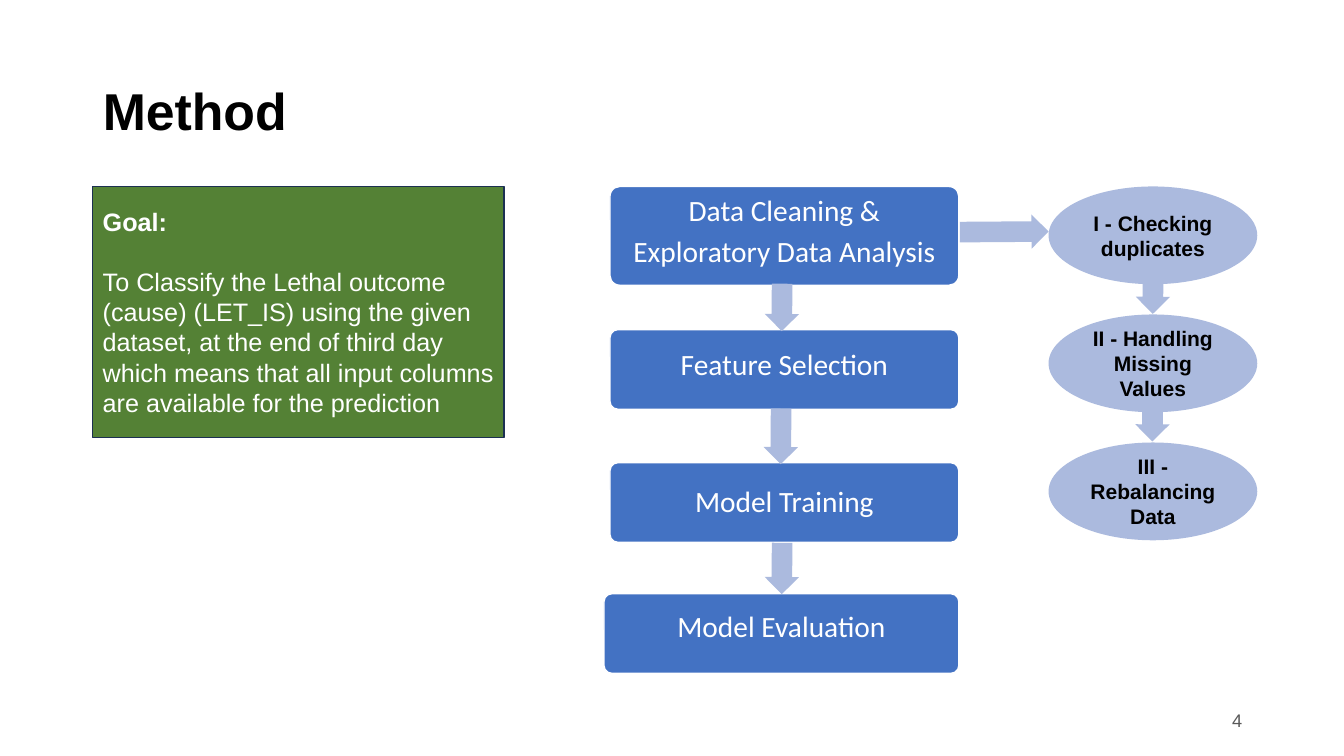
import pptx
import pptx.util
import pptx.dml.color
import pptx.enum.shapes
import pptx.enum.text

Inches = pptx.util.Inches
Pt = pptx.util.Pt
RGBColor = pptx.dml.color.RGBColor
SHAPE = pptx.enum.shapes.MSO_SHAPE
ALIGN = pptx.enum.text.PP_ALIGN

BLUE = RGBColor(0x43, 0x72, 0xC3)
LAVENDER = RGBColor(0xAB, 0xBA, 0xDE)
GREEN = RGBColor(0x54, 0x81, 0x35)
NAVY = RGBColor(0x1C, 0x30, 0x52)
GREY = RGBColor(0x59, 0x59, 0x59)
WHITE = RGBColor(0xFF, 0xFF, 0xFF)
BLACK = RGBColor(0x00, 0x00, 0x00)


def write(frame, text, size, color, font="Arial", bold=False, align=ALIGN.LEFT,
          spacing=None, gap=0, insets=(0.1, 0.05, 0.1, 0.05)):
    frame.word_wrap = True
    frame.auto_size = pptx.enum.text.MSO_AUTO_SIZE.NONE
    frame.vertical_anchor = pptx.enum.text.MSO_ANCHOR.MIDDLE
    frame.margin_left, frame.margin_top, frame.margin_right, frame.margin_bottom = map(Inches, insets)
    frame.text = text
    for index, paragraph in enumerate(frame.paragraphs):
        paragraph.alignment = align
        paragraph.line_spacing = spacing
        paragraph.space_before = Pt(gap if index else 0)
        for run in paragraph.runs:
            run.font.name = font
            run.font.size = Pt(size)
            run.font.bold = bold
            run.font.color.rgb = color


def draw(kind, left, top, width, height, fill, outline=None):
    shape = slide.shapes.add_shape(kind, Inches(left), Inches(top), Inches(width), Inches(height))
    shape.shadow.inherit = False
    shape.fill.solid()
    shape.fill.fore_color.rgb = fill
    if outline is None:
        shape.line.fill.background()
    else:
        shape.line.color.rgb = outline
        shape.line.width = Pt(1)
    return shape


deck = pptx.Presentation()
deck.slide_width = Inches(13.33)
deck.slide_height = Inches(7.5)
slide = deck.slides.add_slide(deck.slide_layouts[5])

title = slide.shapes.title
title.left, title.top, title.width, title.height = map(Inches, (0.92, 0.4, 11.5, 1.45))
write(title.text_frame, "Method", 37, BLACK, bold=True, spacing=0.9)

goal = draw(SHAPE.RECTANGLE, 0.92, 1.85, 4.08, 2.49, GREEN, NAVY)
write(goal.text_frame,
      "Goal:\nTo Classify the Lethal outcome (cause) (LET_IS) using the given dataset, "
      "at the end of third day which means that all input columns are available for the prediction",
      18, WHITE, gap=21)
goal.text_frame.paragraphs[0].runs[0].font.bold = True

stages = [
    ("Data Cleaning &\nExploratory Data Analysis", 6.05, 1.85, 3.46, 0.98, 0.14),
    ("Feature Selection", 6.05, 3.27, 3.46, 0.79, 0.13),
    ("Model Training", 6.05, 4.59, 3.46, 0.79, 0.07),
    ("Model Evaluation", 5.99, 5.89, 3.52, 0.79, 0.18),
]
for label, left, top, width, height, bottom_inset in stages:
    stage = draw(SHAPE.ROUNDED_RECTANGLE, left, top, width, height, BLUE, WHITE)
    stage.adjustments[0] = 0.1
    write(stage.text_frame, label, 21, WHITE, font="Calibri", align=ALIGN.CENTER,
          spacing=0.9, gap=6.3, insets=(0.07, 0.07, 0.07, bottom_inset))

cleaning_steps = ["I - Checking duplicates", "II - Handling Missing Values", "III - Rebalancing Data"]
for index, label in enumerate(cleaning_steps):
    step = draw(SHAPE.OVAL, 10.4, 1.85 + 1.27 * index, 2.07, 0.97, LAVENDER)
    write(step.text_frame, label, 15, BLACK, bold=True, align=ALIGN.CENTER,
          insets=(0.1, 0.1, 0.1, 0.1))

flow_arrows = [
    (7.52, 2.88, 0.47, 90.4),
    (7.47, 4.16, 0.55, 90.4),
    (7.5, 5.47, 0.51, 90.4),
    (9.52, 2.13, 0.88, 359.6),
    (11.2, 2.71, 0.47, 90.4),
    (11.26, 4.04, 0.34, 90.4),
]
for left, top, length, angle in flow_arrows:
    arrow = draw(SHAPE.RIGHT_ARROW, left, top, length, 0.34, LAVENDER)
    arrow.adjustments[0] = 0.6
    arrow.adjustments[1] = 0.5
    arrow.rotation = angle

page_number = slide.shapes.add_textbox(Inches(9.42), Inches(6.95), Inches(3), Inches(0.4))
write(page_number.text_frame, "4", 13, GREY, align=ALIGN.RIGHT)

deck.save("out.pptx")
